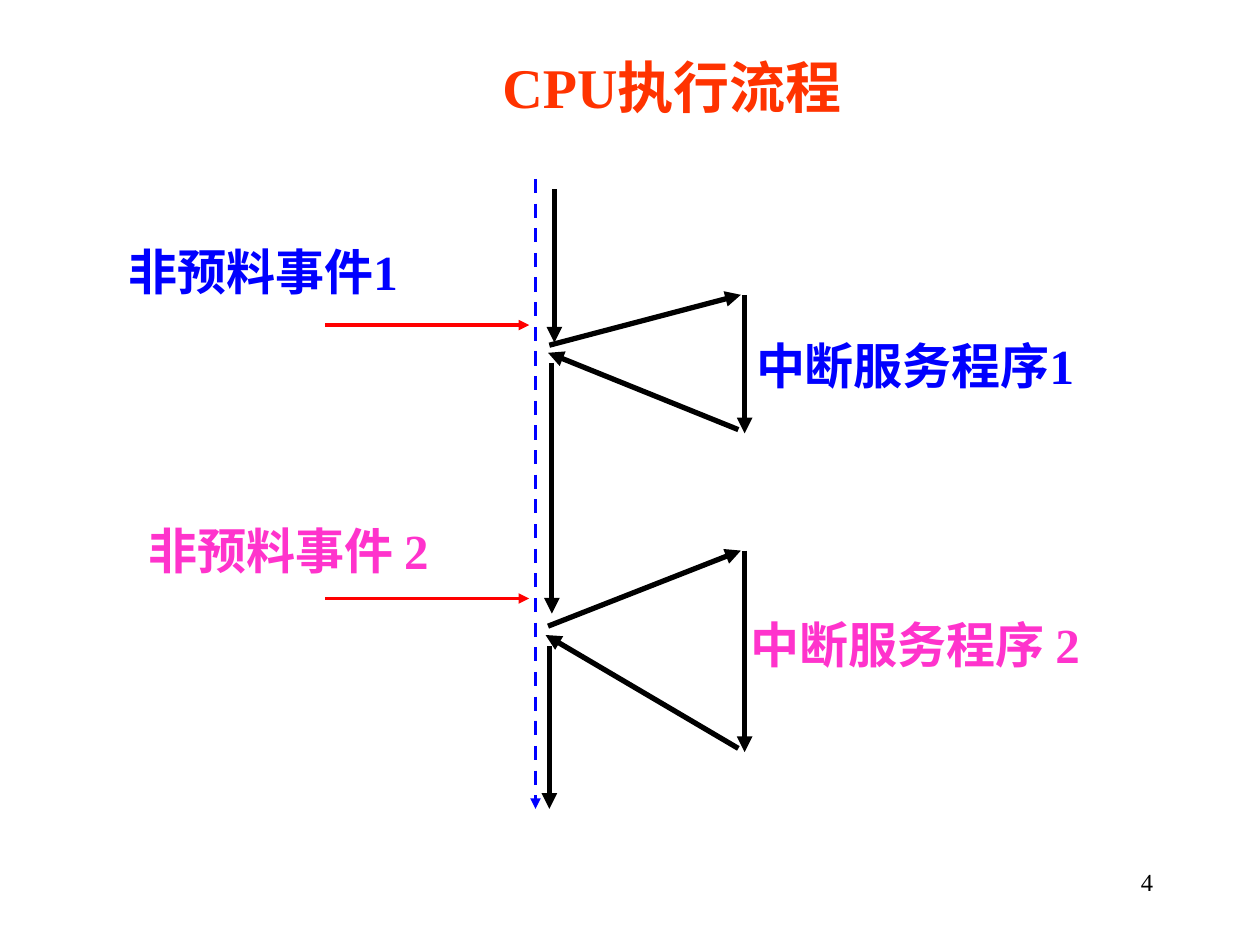
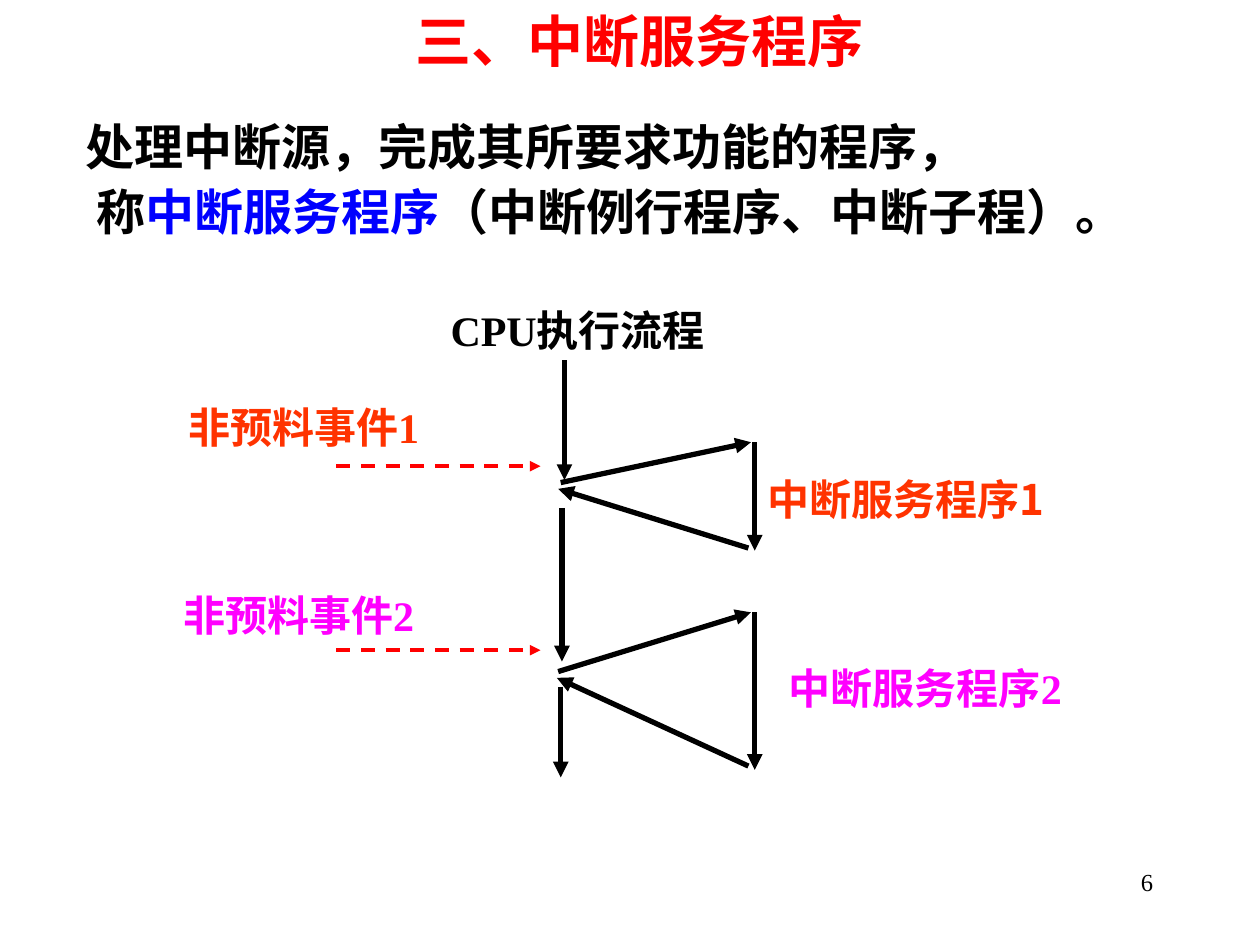
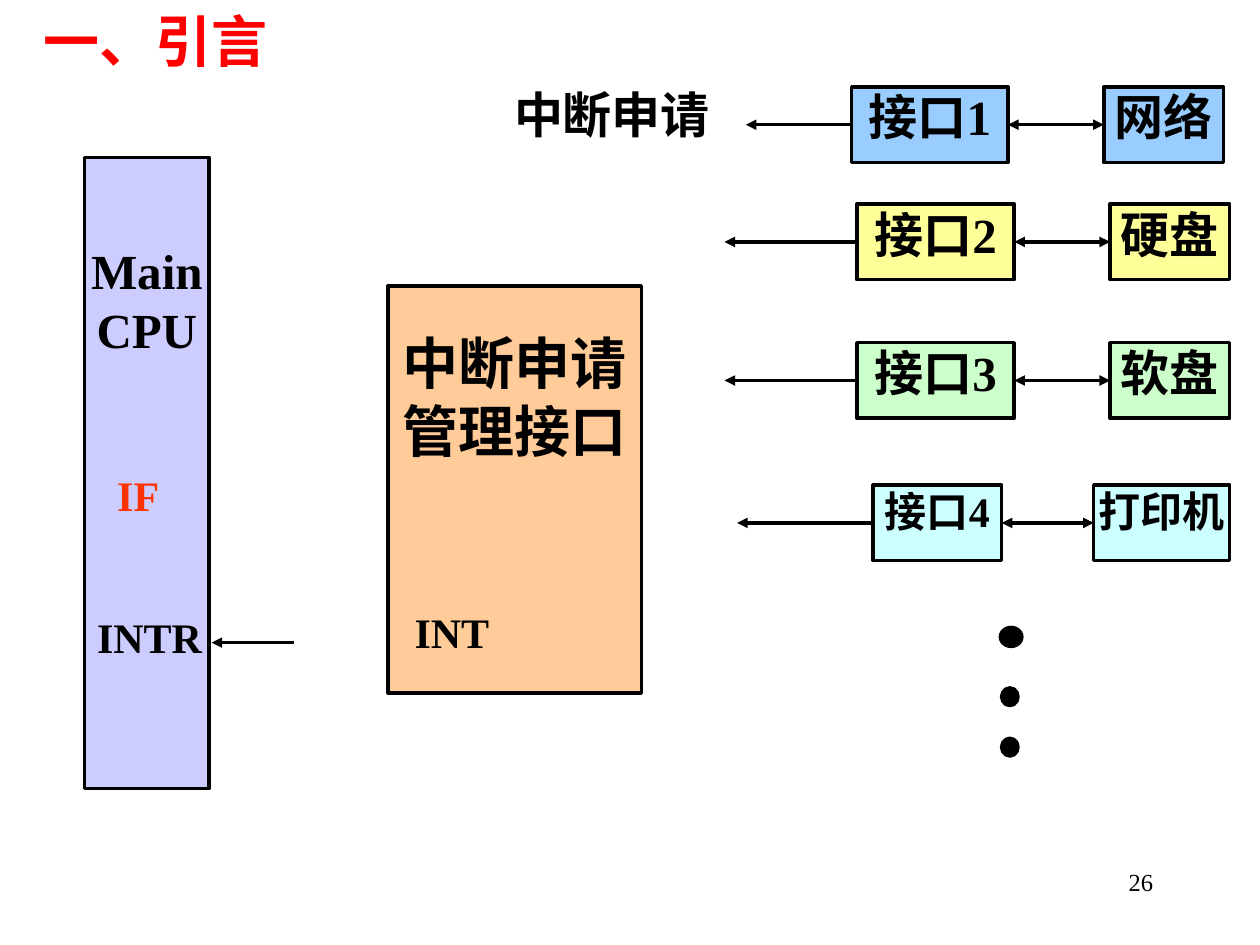
"""Build three slides on interrupts: two flow diagrams and a block diagram."""
from lxml.etree import SubElement
from pptx import Presentation
from pptx.dml.color import RGBColor
from pptx.enum.dml import MSO_LINE as Dash
from pptx.enum.shapes import MSO_CONNECTOR as Conn, MSO_SHAPE as Shape
from pptx.enum.text import MSO_ANCHOR as Anchor, PP_ALIGN as Align
from pptx.oxml.ns import qn
from pptx.util import Inches, Pt

BLACK, RED, BLUE = "000000", "FF0000", "0000FF"
ORANGE, PINK, MAGENTA = "FF3300", "FF33CC", "FF00FF"
LATIN, HAN = "Times New Roman", "Noto Sans CJK SC"
color = RGBColor.from_string


def write(shape, lines, size, align=Align.LEFT, pad=(0, 0), bold=True, font=LATIN):
    """Fill a shape with lines, each a list of (text, colour) runs."""
    frame = shape.text_frame
    frame.word_wrap = True
    frame.vertical_anchor = Anchor.TOP
    frame.margin_left = frame.margin_right = Inches(pad[0])
    frame.margin_top, frame.margin_bottom = Inches(pad[1]), 0
    for i, line in enumerate(lines):
        para = frame.add_paragraph() if i else frame.paragraphs[0]
        para.alignment = align
        for text, tone in line:
            run = para.add_run()
            run.text = text
            run.font.size, run.font.bold, run.font.name = Pt(size), bold, font
            run.font.color.rgb = color(tone)
            SubElement(run.font._element, qn("a:ea")).set("typeface", HAN)
    return frame


def link(slide, start, end, tone=BLACK, width=2, dash=False, ends=("tailEnd",)):
    """Draw an arrow from start to end."""
    line = slide.shapes.add_connector(Conn.STRAIGHT, *map(Inches, start + end))
    line.line.color.rgb = color(tone)
    line.line.width = Pt(width)
    if dash:
        line.line.dash_style = Dash.DASH
    props = line.element.spPr
    for tip in ends:
        SubElement(props.find(qn("a:ln")), qn("a:" + tip)).set("type", "triangle")
    SubElement(props, qn("a:effectLst"))
    return line


deck = Presentation()
deck.slide_width, deck.slide_height = Inches(10), Inches(7.5)
slides = []
for page in ("4", "6", "26"):
    slide = deck.slides.add_slide(deck.slide_layouts[6])
    foot = slide.shapes.add_textbox(*map(Inches, (7.17, 6.83, 2.08, 0.5)))
    write(foot, [[(page, BLACK)]], 14, Align.RIGHT, (0.1, 0.05), False)
    slides.append(slide)
flow, serve, intro = slides

heads = [
    (flow, (3.42, 0.42, 3.83, 0.68), "CPU执行流程", ORANGE, Align.CENTER, (0, 0)),
    (serve, (0.83, 0, 8.5, 1.25), "三、中断服务程序", RED, Align.CENTER, (0.1, 0.05)),
    (intro, (0.25, 0, 2.5, 0.92), "一、引言", RED, Align.LEFT, (0.1, 0.05)),
]
for slide, at, text, tone, align, pad in heads:
    write(slide.shapes.add_textbox(*map(Inches, at)), [[(text, tone)]], 32, align, pad)

body = serve.shapes.add_textbox(*map(Inches, (0.58, 0.83, 9.17, 1.17)))
frame = write(body, [
    [("处理中断源，完成其所要求功能的程序，", BLACK)],
    [("称", BLACK), ("中断服务程序", BLUE), ("（中断例行程序、中断子程）。", BLACK)],
], 28, pad=(0.1, 0.05))
for para, first in zip(frame.paragraphs, (-0.38, -0.29)):
    para.line_spacing = 1.1
    props = para._p.get_or_add_pPr()
    props.set("marL", str(Inches(0.38)))
    props.set("indent", str(Inches(first)))

paths = [
    (flow, [
        [(4.4, 1.5), (4.4, 2.72)], [(4.38, 2.88), (4.38, 4.87)],
        [(4.36, 5.13), (4.36, 6.42)],
        [(4.36, 2.74), (5.88, 2.34)], [(5.91, 2.34), (5.91, 3.44)],
        [(5.86, 3.41), (4.35, 2.8)],
        [(4.35, 4.97), (5.88, 4.37)], [(5.91, 4.37), (5.91, 5.97)],
        [(5.86, 5.94), (4.33, 5.04)],
    ]),
    (serve, [
        [(4.48, 2.86), (4.48, 3.81)], [(4.46, 4.03), (4.46, 5.25)],
        [(4.45, 5.45), (4.45, 6.17)],
        [(4.45, 3.83), (5.96, 3.51)], [(5.99, 3.51), (5.99, 4.37)],
        [(5.94, 4.35), (4.43, 3.88)],
        [(4.43, 5.33), (5.96, 4.86)], [(5.99, 4.86), (5.99, 6.11)],
        [(5.94, 6.08), (4.42, 5.38)],
    ]),
]
for slide, steps in paths:
    for start, end in steps:
        link(slide, start, end, width=3)

events = [(flow, 2.58, 2.58, False), (flow, 2.58, 4.75, False),
          (serve, 2.67, 3.7, True), (serve, 2.67, 5.16, True)]
for slide, left, top, dash in events:
    link(slide, (left, top), (left + 1.62, top), RED, dash=dash)
link(flow, (4.25, 1.42), (4.25, 6.42), BLUE, dash=True)

labels = [
    (flow, (0.75, 1.92, 2.68, 0.56), "非预料事件1", BLUE, 28, Align.CENTER, LATIN),
    (flow, (1, 4.13, 2.58, 0.56), "非预料事件 2", PINK, 28, Align.CENTER, LATIN),
    (flow, (6, 2.66, 2.91, 0.53), "中断服务程序1", BLUE, 28, Align.LEFT, LATIN),
    (flow, (5.75, 4.88, 3.03, 0.48), "中断服务程序 2", PINK, 28, Align.CENTER, LATIN),
    (serve, (2.67, 2.42, 3.83, 0.53), "CPU执行流程", BLACK, 24, Align.CENTER, LATIN),
    (serve, (1.07, 3.19, 2.68, 0.43), "非预料事件1", ORANGE, 24, Align.CENTER, LATIN),
    (serve, (1.08, 4.68, 2.58, 0.43), "非预料事件2", MAGENTA, 24, Align.CENTER, LATIN),
    (serve, (6.09, 3.76, 2.91, 0.41), "中断服务程序1", ORANGE, 24, Align.LEFT, HAN),
    (serve, (5.83, 5.26, 3.03, 0.37), "中断服务程序2", MAGENTA, 24, Align.CENTER, LATIN),
]

blocks = [
    ((0.67, 1.25, 0.99, 5.01), "CCCCFF", ["Main", "CPU"], 28, 0.66),
    ((3.08, 2.27, 2.01, 3.23), "FFCC99", ["中断申请", "管理接口"], 32, 0.34),
]
rows = [
    (0.69, 6.76, 1.24, 8.76, 0.95, 5.92, "99CCFF", "网络", 28),
    (1.62, 6.8, 1.25, 8.81, 0.95, 5.75, "FFFF99", "硬盘", 28),
    (2.72, 6.8, 1.25, 8.81, 0.95, 5.75, "CCFFCC", "软盘", 28),
    (3.85, 6.93, 1.02, 8.68, 1.08, 5.85, "CCFFFF", "打印机", 24),
]
for i, (top, left, wide, right, span, _, fill, name, size) in enumerate(rows, 1):
    blocks.append(((left, top, wide, 0.6), fill, [f"接口{i}"], size, 0))
    blocks.append(((right, top, span, 0.6), fill, [name], size, 0))
boxes = []
for at, fill, lines, size, drop in blocks:
    box = intro.shapes.add_shape(Shape.RECTANGLE, *map(Inches, at))
    box.shadow.inherit = False
    box.fill.solid()
    box.fill.fore_color.rgb = color(fill)
    box.line.color.rgb = color(BLACK)
    box.line.width = Pt(2)
    write(box, [[(line, BLACK)] for line in lines], size, Align.CENTER, (0, drop))
    boxes.append(box)

for row, port, unit in zip(rows, boxes[2::2], boxes[3::2]):
    top, left, wide, right, _, tip = row[:6]
    mid = top + 0.3
    ask = link(intro, (left, mid), (tip, mid))
    ask.begin_connect(port, 1)
    bus = link(intro, (left + wide, mid), (right, mid), ends=("headEnd", "tailEnd"))
    bus.begin_connect(port, 3)
    bus.end_connect(unit, 1)
link(intro, (2.33, 5.1), (1.68, 5.1))

for at in ((7.94, 4.98, 0.17, 0.15), (7.95, 5.46, 0.13, 0.14), (7.95, 5.86, 0.13, 0.14)):
    dot = intro.shapes.add_shape(Shape.OVAL, *map(Inches, at))
    dot.shadow.inherit = False
    dot.fill.solid()
    dot.fill.fore_color.rgb = color(BLACK)
    dot.line.color.rgb = color(BLACK)
    dot.line.width = Pt(2)

labels += [
    (intro, (4.08, 0.67, 1.83, 0.58), "中断申请", BLACK, 28, Align.LEFT, LATIN),
    (intro, (3.29, 4.81, 0.87, 0.58), "INT", BLACK, 24, Align.LEFT, LATIN),
    (intro, (0.77, 4.85, 0.98, 0.58), "INTR", BLACK, 24, Align.LEFT, LATIN),
    (intro, (0.93, 3.73, 0.55, 0.45), "IF", ORANGE, 24, Align.LEFT, LATIN),
]
for slide, at, text, tone, size, align, font in labels:
    box = slide.shapes.add_textbox(*map(Inches, at))
    write(box, [[(text, tone)]], size, align, font=font)

deck.save("out.pptx")
